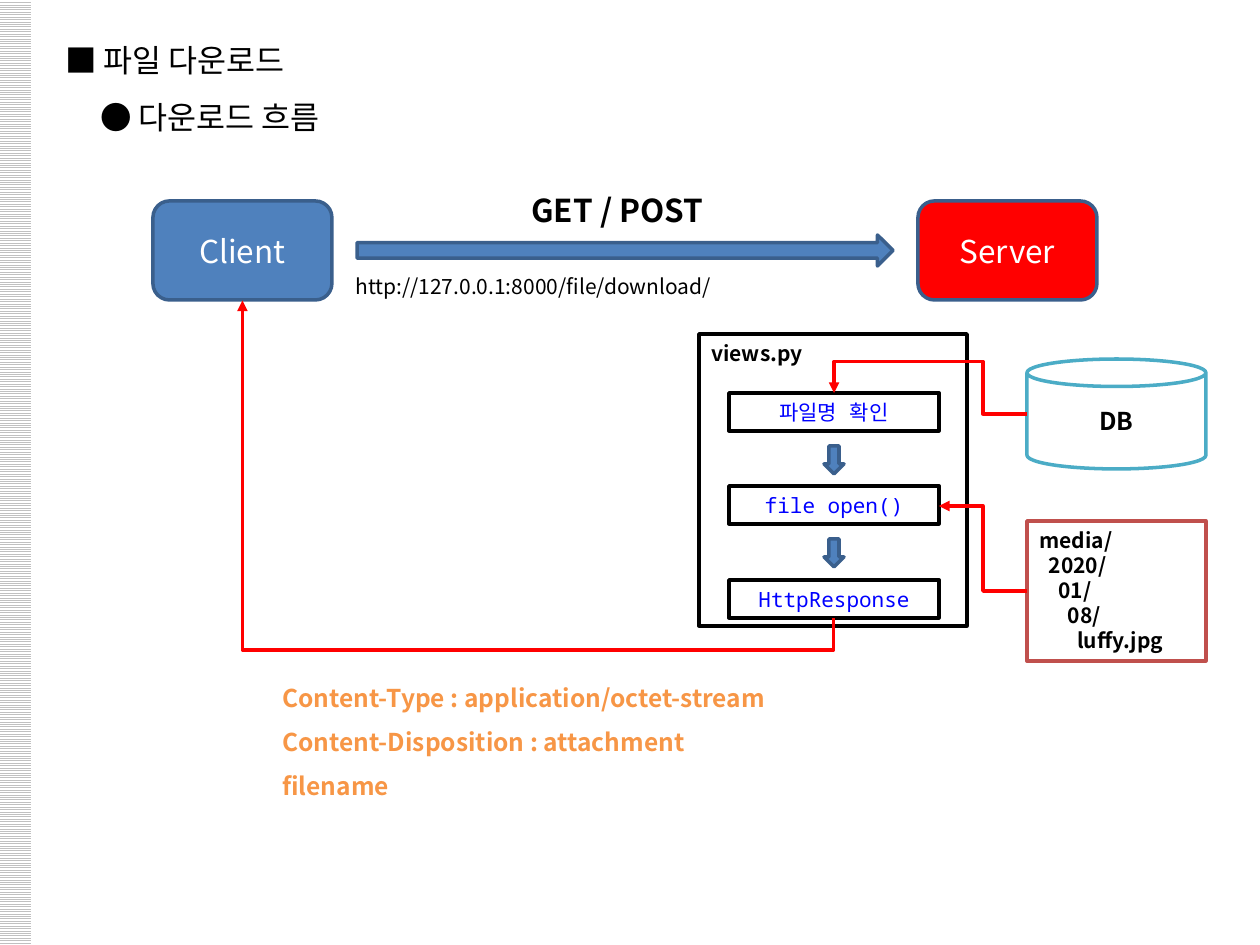
import pptx
import pptx.util
import pptx.dml.color
import pptx.enum.dml
import pptx.enum.shapes
import pptx.enum.text
import pptx.oxml.ns
import pptx.oxml.xmlchemy

PX = 914400 / 126
SANS, MONO = "Noto Sans CJK KR", "Noto Sans Mono"
BLUE, NAVY, RED, BLACK, WHITE = "4F81BD", "3A5F8C", "FF0000", "000000", "FFFFFF"
SHAPE = pptx.enum.shapes.MSO_SHAPE
ALIGN = pptx.enum.text.PP_ALIGN
ANCHOR = pptx.enum.text.MSO_ANCHOR

HEADING = {"size": 18, "color": BLACK, "spacing": 1.5, "indent": 35}
LABEL = {"size": 18, "color": WHITE, "align": ALIGN.CENTER, "anchor": ANCHOR.MIDDLE, "wrap": True}
METHOD = {"size": 18, "color": BLACK, "bold": True}
ADDRESS = {"size": 12, "color": BLACK, "wrap": True}
NOTE = {"size": 12, "color": BLACK, "bold": True, "wrap": True, "indent": 9.5}
STEP = {"size": 12, "color": "0000FF", "face": MONO, "align": ALIGN.CENTER, "wrap": True}
DATABASE = {**LABEL, "size": 14, "color": BLACK, "bold": True}
HEADER = {"size": 14, "color": "F79646", "bold": True, "spacing": 1.5}

texts = [
    ((53, 16, 316, 120), ["■ 파일 다운로드", "● 다운로드 흐름"], HEADING),
    ((343, 267, 554, 38), ["http://127.0.0.1:8000/file/download/"], ADDRESS),
    ((519, 185, 202, 50), ["GET / POST"], METHOD),
    ((270, 662, 537, 96),
     ["Content-Type : application/octet-stream",
      "Content-Disposition : attachment\vfilename"], HEADER),
]
folders = ["media/", "2020/", "01/", "08/", "luffy.jpg"]
shapes = [
    (SHAPE.ROUNDED_RECTANGLE, (153, 201, 179, 99), BLUE, NAVY, ["Client"], LABEL),
    (SHAPE.ROUNDED_RECTANGLE, (918, 201, 179, 99), RED, NAVY, ["Server"], LABEL),
    (SHAPE.RIGHT_ARROW, (357, 235, 536, 31), BLUE, NAVY, [], LABEL),
    (SHAPE.RECTANGLE, (699, 334, 268, 292), WHITE, BLACK, ["views.py"], NOTE),
    (SHAPE.CAN, (1027, 359, 179, 110), WHITE, "4BACC6", ["DB"], DATABASE),
    (SHAPE.RECTANGLE, (1027, 521, 179, 140), WHITE, "C0504D", folders, NOTE),
]
steps = ["파일명 확인", "file open()", "HttpResponse"]
STEP_TOP, STEP_PITCH = 393, 93.5
for index, step in enumerate(steps):
    top = round(STEP_TOP + index * STEP_PITCH)
    shapes.append((SHAPE.RECTANGLE, (729, top, 210, 38), WHITE, BLACK, [step], STEP))
    if index < len(steps) - 1:
        shapes.append((SHAPE.DOWN_ARROW, (824, top + 53, 20, 28), BLUE, NAVY, [], LABEL))

flows = [
    ((939, 506, 88, 85), "bentConnector3", False, []),
    ((920, 307, 21, 193), "bentConnector4", True, [-149500, 77200]),
    ((379, 164, 318, 591), "bentConnector3", True, [109900]),
]


def emu(*lengths):
    return [round(length * PX) for length in lengths]


def rgb(value):
    return pptx.dml.color.RGBColor.from_string(value)


def child(parent, tag, **values):
    element = pptx.oxml.xmlchemy.OxmlElement(tag)
    for key, value in values.items():
        element.set(key, str(value))
    parent.append(element)
    return element


def write(box, lines, style):
    frame = box.text_frame
    frame.word_wrap = style.get("wrap", False)
    frame.vertical_anchor = style.get("anchor", ANCHOR.TOP)
    for level, line in enumerate(lines):
        paragraph = frame.paragraphs[0] if level == 0 else frame.add_paragraph()
        paragraph.text = line
        paragraph.alignment = style.get("align", ALIGN.LEFT)
        paragraph.line_spacing = style.get("spacing", 1.0)
        margin = emu(level * style.get("indent", 0))[0]
        paragraph._p.get_or_add_pPr().set("marL", str(margin))
        face = style.get("face", SANS)
        format_values = {"size": pptx.util.Pt(style["size"]), "name": face,
                         "bold": style.get("bold", False)}
        for run in paragraph.runs:
            for key, value in format_values.items():
                setattr(run.font, key, value)
            run.font.color.rgb = rgb(style["color"])
            child(run._r.get_or_add_rPr(), "a:ea", typeface=face)


def outline(part, color):
    part.line.color.rgb = rgb(color)
    part.line.width = pptx.util.Pt(2)


def add_flow(slide, place, preset, turned, bends):
    x, y, w, h = place
    flow = slide.shapes.add_connector(
        pptx.enum.shapes.MSO_CONNECTOR.ELBOW, *emu(x, y, x + w, y + h))
    outline(flow, RED)
    properties = flow._element.spPr
    child(properties.find(pptx.oxml.ns.qn("a:ln")), "a:headEnd", type="triangle")
    child(properties, "a:effectLst")
    geometry = properties.find(pptx.oxml.ns.qn("a:prstGeom"))
    geometry.set("prst", preset)
    guides = geometry.find(pptx.oxml.ns.qn("a:avLst"))
    for number, bend in enumerate(bends, 1):
        child(guides, "a:gd", name=f"adj{number}", fmla=f"val {bend}")
    if turned:
        frame = properties.find(pptx.oxml.ns.qn("a:xfrm"))
        frame.set("rot", "16200000")
        frame.set("flipH", "1")


def main():
    deck = pptx.Presentation()
    deck.slide_width, deck.slide_height = emu(1260, 945)
    slide = deck.slides.add_slide(deck.slide_layouts[6])

    stripe = slide.shapes.add_shape(SHAPE.RECTANGLE, *emu(-1, 0, 32, 945))
    stripe.shadow.inherit = False
    stripe.line.fill.background()
    stripe.fill.patterned()
    stripe.fill.pattern = pptx.enum.dml.MSO_PATTERN.LIGHT_HORIZONTAL
    stripe.fill.fore_color.rgb = rgb("C0C0C0")
    stripe.fill.back_color.rgb = rgb(WHITE)

    for kind, place, fill, line, lines, style in shapes:
        part = slide.shapes.add_shape(kind, *emu(*place))
        part.shadow.inherit = False
        part.fill.solid()
        part.fill.fore_color.rgb = rgb(fill)
        outline(part, line)
        write(part, lines, style)
    for place, lines, style in texts:
        write(slide.shapes.add_textbox(*emu(*place)), lines, style)
    for flow in flows:
        add_flow(slide, *flow)
    deck.save("out.pptx")


if __name__ == "__main__":
    main()
